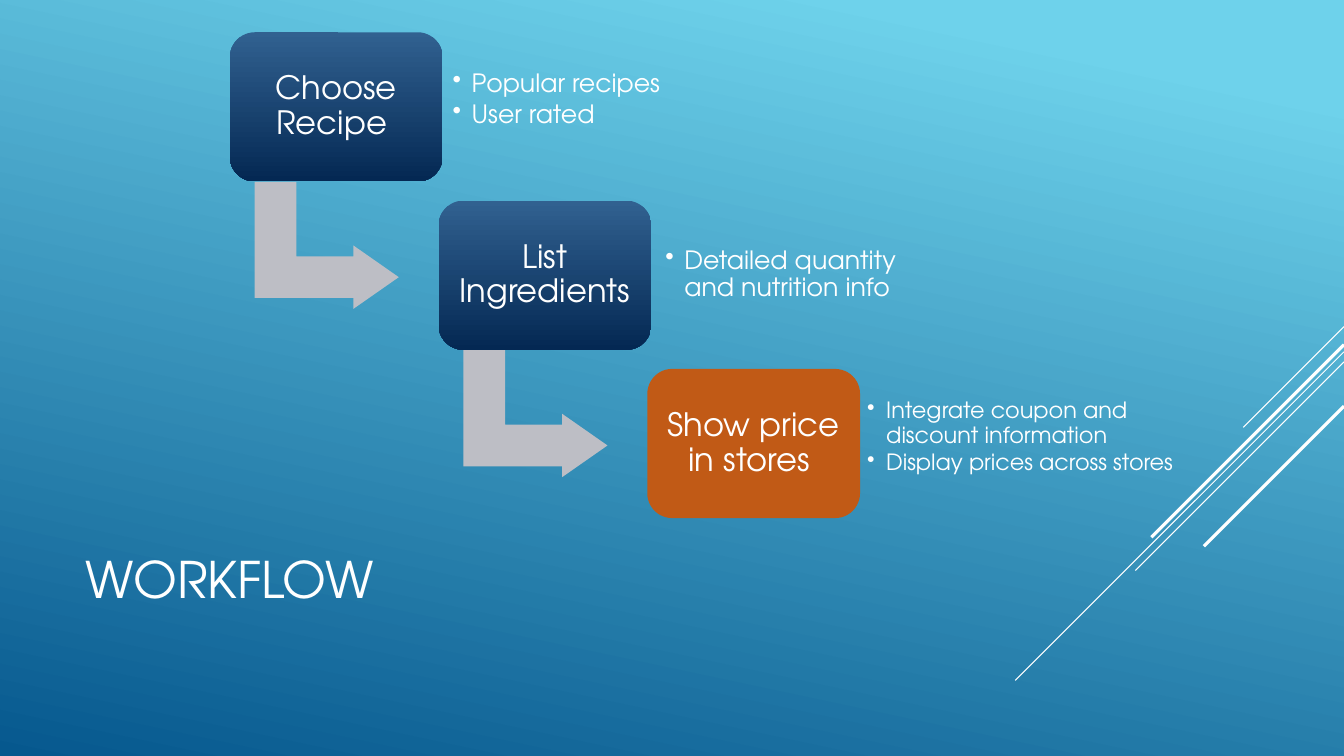
from dataclasses import dataclass, field

from lxml import etree
from pptx import Presentation
from pptx.dml.color import RGBColor
from pptx.enum import shapes, text
from pptx.oxml.ns import qn
from pptx.slide import Slide
from pptx.util import Inches, Pt


@dataclass(frozen=True)
class Theme:
    font: str = "TeX Gyre Adventor"
    ink: str = "FFFFFF"
    arrow: str = "BDBEC5"
    accent: str = "C15A16"
    step: tuple = ((0, "316190"), (1, "042853"))
    backdrop: tuple = ((0.1, "6ED2EB"), (1, "06588E"))
    title_size: int = 36
    step_size: int = 23


def paint(fill, colour, angle=90):
    """Apply one colour, or (position, colour) stops at a clockwise angle."""
    if isinstance(colour, str):
        fill.solid()
        fill.fore_color.rgb = RGBColor.from_string(colour)
        return
    fill.gradient()
    fill.gradient_angle = 360 - angle
    for stop, (position, rgb) in zip(fill.gradient_stops, colour):
        stop.position = position
        stop.color.rgb = RGBColor.from_string(rgb)


@dataclass
class SlideBuilder:
    slide: Slide
    theme: Theme = field(default_factory=Theme)

    def background(self):
        paint(self.slide.background.fill, self.theme.backdrop, 102)

    def set_text(self, frame, lines, size, inset, align, **spacing):
        layout = {
            "word_wrap": True,
            "auto_size": text.MSO_AUTO_SIZE.NONE,
            "vertical_anchor": text.MSO_ANCHOR.MIDDLE,
        }
        for side in ("left", "right", "top", "bottom"):
            layout[f"margin_{side}"] = Inches(inset)
        for name, value in layout.items():
            setattr(frame, name, value)
        for index, line in enumerate(lines):
            paragraph = frame.add_paragraph() if index else frame.paragraphs[0]
            paragraph.alignment = align
            for name, value in spacing.items():
                setattr(paragraph, name, value)
            run = paragraph.add_run()
            run.text = line
            run.font.name = self.theme.font
            run.font.size = Pt(size)
            run.font.color.rgb = RGBColor.from_string(self.theme.ink)

    def title(self, wording, *place):
        heading = self.slide.shapes.title
        for name, value in zip(("left", "top", "width", "height"), place):
            setattr(heading, name, Inches(value))
        self.set_text(heading.text_frame, [wording], self.theme.title_size,
                      0.1, text.PP_ALIGN.LEFT)

    def shape(self, preset, place, colour, adjustments):
        drawn = self.slide.shapes.add_shape(preset, *map(Inches, place))
        drawn.shadow.inherit = False
        drawn.line.fill.background()
        paint(drawn.fill, colour)
        for index, value in enumerate(adjustments):
            drawn.adjustments[index] = value
        return drawn

    def step(self, wording, left, top, colour):
        box = self.shape(shapes.MSO_SHAPE.ROUNDED_RECTANGLE,
                         (left, top, 2.11, 1.48), colour, [0.167])
        self.set_text(box.text_frame, [wording], self.theme.step_size, 0.1,
                      text.PP_ALIGN.CENTER, line_spacing=0.9)

    def arrow(self, left, top):
        bend = self.shape(shapes.MSO_SHAPE.BENT_UP_ARROW,
                          (left, top, 1.26, 1.43), self.theme.arrow,
                          [0.328, 0.25, 0.358])
        bend.rotation = 90

    def bullets(self, lines, place, size, inset):
        box = self.slide.shapes.add_textbox(*map(Inches, place))
        self.set_text(box.text_frame, lines, size, inset, text.PP_ALIGN.LEFT,
                      level=1, line_spacing=0.9, space_after=Pt(size * 0.15))
        hang = Inches(0.19)
        for paragraph in box.text_frame.paragraphs:
            properties = paragraph._p.get_or_add_pPr()
            properties.set("marL", str(hang))
            properties.set("indent", str(-hang))
            etree.SubElement(properties, qn("a:buChar")).set("char", "•")

    def diagonal(self, top, reach, weight, right=13.33):
        """Draw a 45 degree line down and left from the slide's right edge."""
        ends = map(Inches, (right, top, right - reach, top + reach))
        stroke = self.slide.shapes.add_connector(
            shapes.MSO_CONNECTOR.STRAIGHT, *ends)
        stroke.line.width = Pt(weight)
        stroke.line.color.rgb = RGBColor.from_string(self.theme.ink)
        etree.SubElement(stroke._element.spPr, qn("a:effectLst"))


# top, reach, weight
DIAGONALS = [
    (3.24, 1.0, 0.75),
    (3.49, 3.26, 0.75),
    (3.59, 2.07, 0.75),
    (3.42, 1.91, 2.25),
    (4.03, 1.39, 2.25),
]

# step, details, place of details, size, inset
STEPS = [
    ("Choose Recipe ", ["Popular recipes", "User rated"],
     (4.39, 0.39, 2.85, 1.2), 18, 0.1),
    ("List Ingredients", ["Detailed quantity and nutrition info"],
     (6.5, 2.13, 2.87, 1.2), 18, 0.1),
    ("Show price in stores ",
     ["Integrate coupon and discount information",
      "Display prices across stores"],
     (8.53, 3.74, 3.54, 1.2), 16, 0.07),
]


def main():
    deck = Presentation()
    deck.slide_width, deck.slide_height = Inches(13.33), Inches(7.5)
    workflow = SlideBuilder(deck.slides.add_slide(deck.slide_layouts[5]))
    theme = workflow.theme

    workflow.background()
    for diagonal in DIAGONALS:
        workflow.diagonal(*diagonal)
    workflow.title("WORKFLOW", 0.75, 4.91, 9.33, 1.65)

    for index, (wording, details, place, size, inset) in enumerate(STEPS):
        left, top = 2.28 + 2.07 * index, 0.32 + 1.67 * index
        is_last = index == len(STEPS) - 1
        if not is_last:
            workflow.arrow(left + 0.33, top + 1.4)
        workflow.step(wording, left, top,
                      theme.accent if is_last else theme.step)
        workflow.bullets(details, place, size, inset)

    deck.save("out.pptx")


if __name__ == "__main__":
    main()
